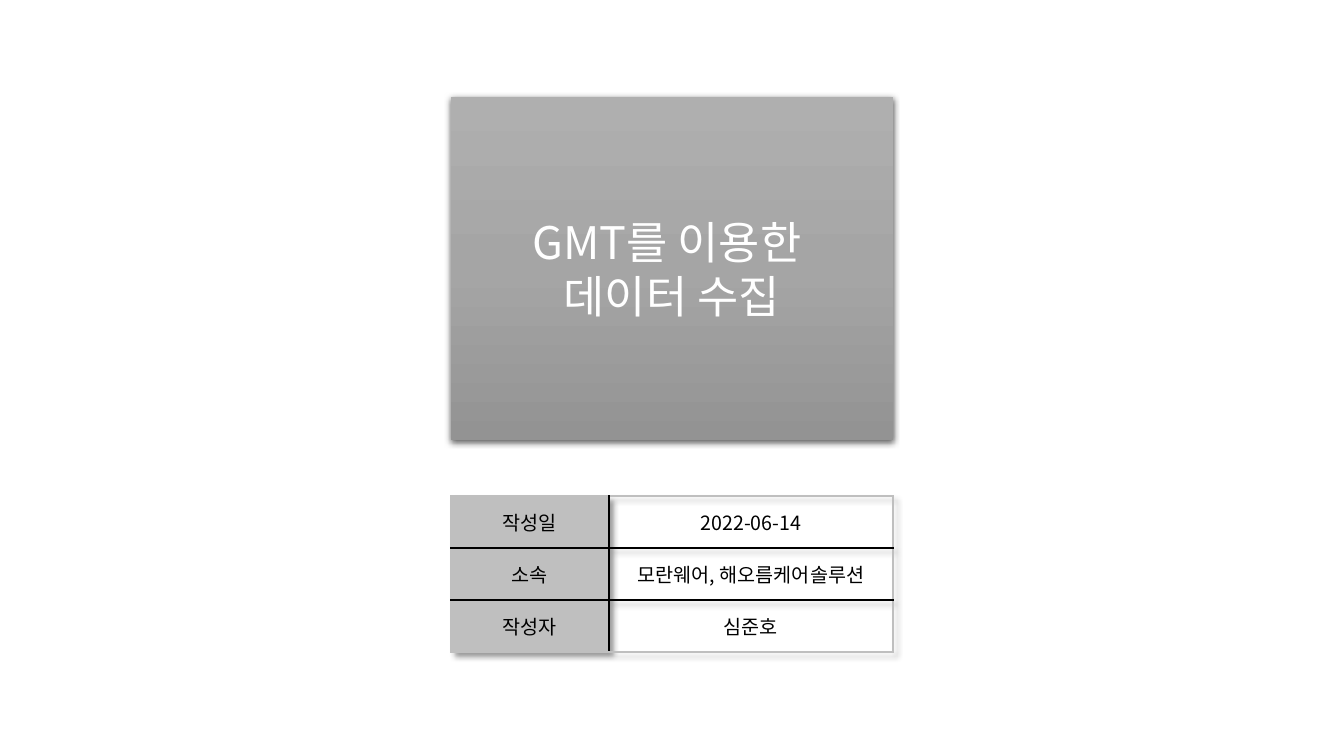
from dataclasses import dataclass

from lxml.etree import SubElement
from pptx import Presentation
from pptx.dml.color import RGBColor
from pptx.enum.shapes import MSO_SHAPE
from pptx.enum.text import MSO_ANCHOR, PP_ALIGN
from pptx.oxml.ns import qn
from pptx.util import Pt

SCALE = 914400 / 100.8  # EMU in one px


@dataclass(frozen=True)
class Theme:
    font: str = "Noto Sans CJK KR"
    title: int = 32
    body: int = 14
    white: str = "FFFFFF"
    black: str = "000000"
    grey: str = "BFBFBF"
    fade: tuple = ((0, "AFAFAF"), (50, "A5A5A5"), (100, "939393"))


@dataclass(frozen=True)
class Row:
    label: str
    value: str


@dataclass(frozen=True)
class Shade:
    blur: float
    dist: float
    angle: int
    alpha: int


THEME = Theme()
LEFT, WIDTH = 451, 442
COLS = (158, 284)
HIGH = 52
ROWS = (
    Row("작성일", "2022-06-14"),
    Row("소속", "모란웨어, 해오름케어솔루션"),
    Row("작성자", "심준호"),
)


def px(size: int) -> int:
    return round(size * SCALE)


def write(frame, text: str, *, size: int, color: str) -> None:
    for i, line in enumerate(text.split("\n")):
        para = frame.paragraphs[0] if i == 0 else frame.add_paragraph()
        para.alignment = PP_ALIGN.CENTER
        run = para.add_run()
        run.text = line
        font = run.font
        font.name, font.size = THEME.font, Pt(size)
        font.color.rgb = RGBColor.from_string(color)
        SubElement(run._r.get_or_add_rPr(), qn("a:ea"), typeface=THEME.font)


def tint(node, color: str):
    return SubElement(node, qn("a:srgbClr"), val=color)


def cast(effects, shade: Shade) -> None:
    outer = SubElement(
        effects, qn("a:outerShdw"), blurRad=str(Pt(shade.blur)),
        dist=str(Pt(shade.dist)), dir=str(shade.angle * 60000),
        algn="ctr", rotWithShape="0")
    SubElement(tint(outer, THEME.black), qn("a:alpha"), val=str(shade.alpha * 1000))


def edge(cell, side: str, color: str) -> None:
    line = SubElement(cell._tc.get_or_add_tcPr(), qn(f"a:ln{side}"), w=str(Pt(1)))
    tint(SubElement(line, qn("a:solidFill")), color)


def banner(slide) -> None:
    box = slide.shapes.add_shape(
        MSO_SHAPE.RECTANGLE, px(LEFT), px(97), px(WIDTH), px(343))
    box.line.fill.background()
    box.fill.gradient()
    box.fill.gradient_angle = 270
    props = box._element.spPr
    stops = props.find(".//" + qn("a:gsLst"))
    for stop in list(stops):
        stops.remove(stop)
    for pos, color in THEME.fade:
        tint(SubElement(stops, qn("a:gs"), pos=str(pos * 1000)), color)
    box.shadow.inherit = False
    cast(props.find(qn("a:effectLst")), Shade(4.5, 1.5, 90, 63))
    box.text_frame.vertical_anchor = MSO_ANCHOR.MIDDLE
    write(box.text_frame, "GMT를 이용한 \n데이터 수집",
          size=THEME.title, color=THEME.white)


def details(slide) -> None:
    table = slide.shapes.add_table(
        len(ROWS), len(COLS), px(LEFT), px(496), px(WIDTH),
        px(HIGH * len(ROWS))).table
    table.first_row = table.horz_banding = False
    props = table._tbl.tblPr
    effects = SubElement(props, qn("a:effectLst"))
    props.insert(0, effects)
    cast(effects, Shade(4, 4, 45, 40))

    for col, width in zip(table.columns, COLS):
        col.width = px(width)
    for r, row in enumerate(ROWS):
        table.rows[r].height = px(HIGH)
        for c, text in enumerate((row.label, row.value)):
            cell = table.cell(r, c)
            cell.vertical_anchor = MSO_ANCHOR.MIDDLE
            # Black rules inside, grey rim outside
            rim = {"L": c == 0, "R": c == len(COLS) - 1,
                   "T": r == 0, "B": r == len(ROWS) - 1}
            for side, outer in rim.items():
                edge(cell, side, THEME.grey if outer else THEME.black)
            if c == 0:
                cell.fill.solid()
                cell.fill.fore_color.rgb = RGBColor.from_string(THEME.grey)
            else:
                cell.fill.background()
            write(cell.text_frame, text, size=THEME.body, color=THEME.black)


def main() -> None:
    deck = Presentation()
    deck.slide_width, deck.slide_height = px(1344), px(756)
    slide = deck.slides.add_slide(deck.slide_layouts[6])
    banner(slide)
    details(slide)
    deck.save("out.pptx")


if __name__ == "__main__":
    main()
